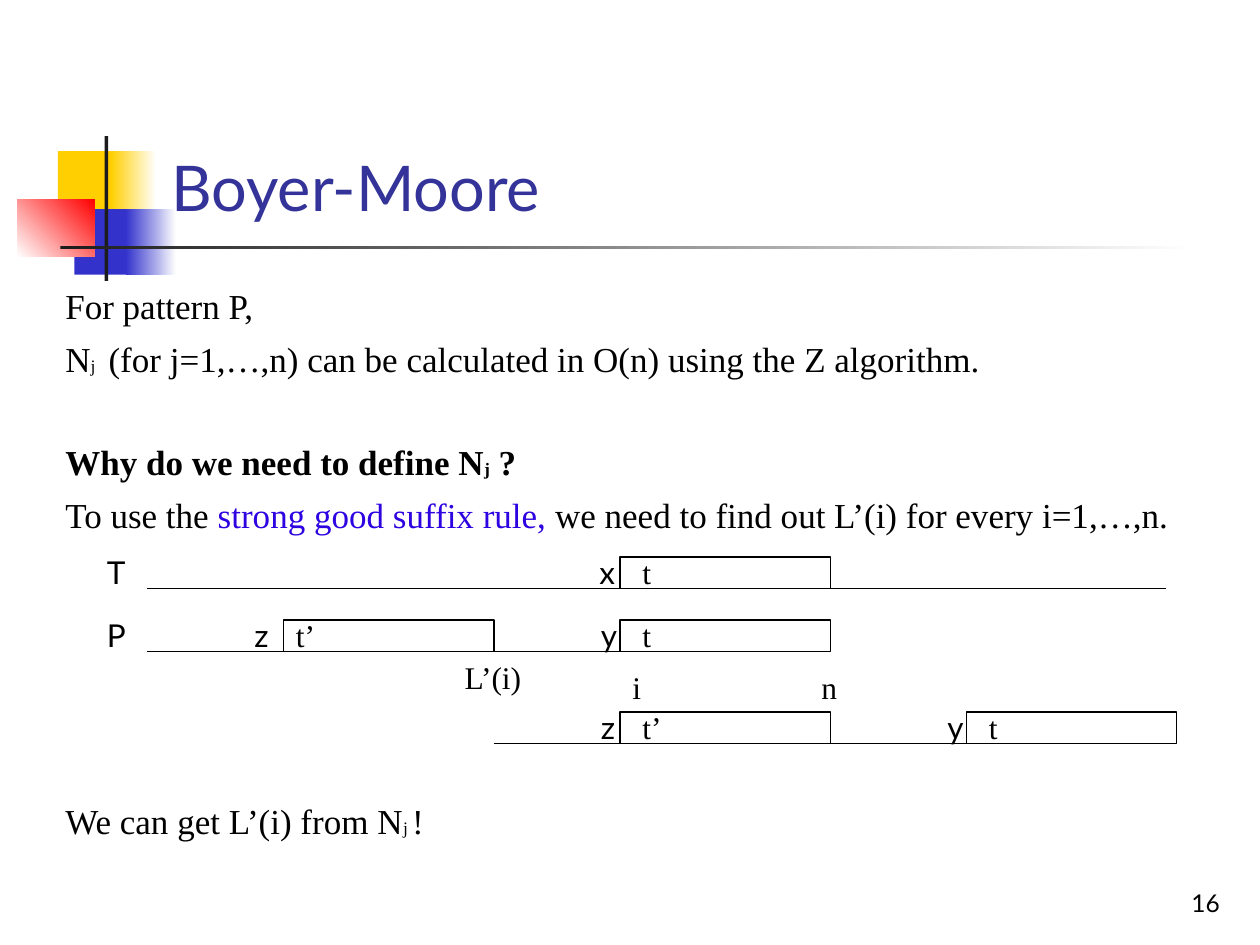
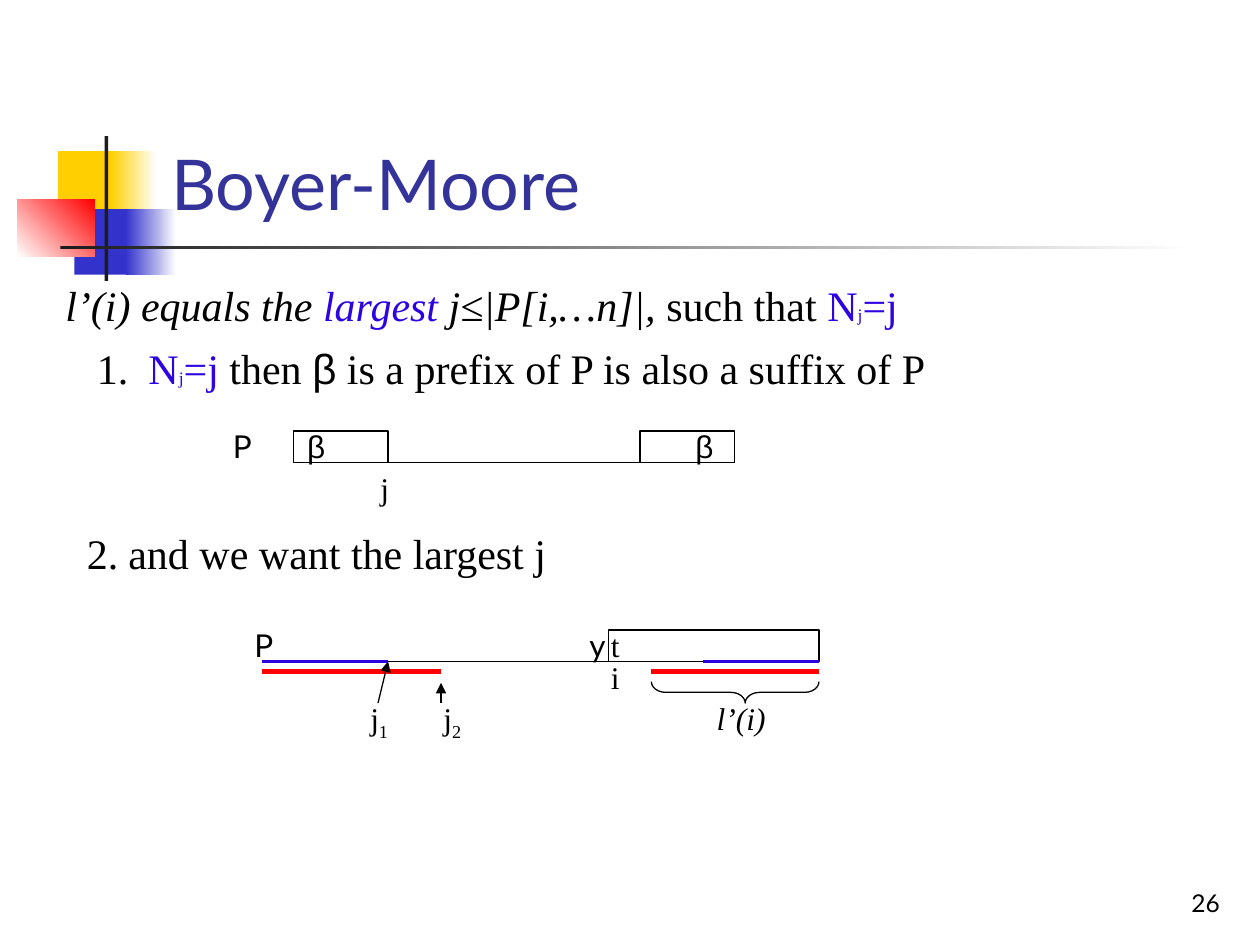
from dataclasses import dataclass

from lxml import etree
from pptx import Presentation
from pptx.dml.color import RGBColor
from pptx.enum.shapes import MSO_CONNECTOR as Link, MSO_SHAPE as Shape
from pptx.enum.text import MSO_ANCHOR as Anchor, MSO_AUTO_SIZE as AutoSize, PP_ALIGN as Align
from pptx.oxml.ns import qn
from pptx.util import Inches, Pt


@dataclass(frozen=True)
class Theme:
    black: str = "000000"
    white: str = "FFFFFF"
    title: str = "333399"
    accent: str = "2D03E1"
    yellow: str = "FFCF01"
    blue: str = "3333CC"
    red: str = "FF0000"
    ink: str = "1C1C1C"
    sans: str = "Lato"
    serif: str = "Times New Roman"
    greek: str = "Arial"
    label_size: int = 18
    number_size: int = 14
    subscript_size: int = 10
    thin: float = 0.75
    medium: float = 2.25
    thick: float = 3


THEME = Theme()
BLUE = {"color": THEME.accent}
BOLD = {"bold": True}
ITALIC = {"italic": True}
SMALL = {"size": THEME.subscript_size}
HANGING = 0.38

# left, top, width, height, colours (two make a gradient), gradient angle
ORNAMENTS = [
    (0.46, 1.2, 0.48, 0.52, [THEME.yellow], 0),
    (0.88, 1.2, 0.36, 0.52, [THEME.yellow, THEME.white], 0),
    (0.59, 1.66, 0.46, 0.52, [THEME.blue], 0),
    (1, 1.66, 0.4, 0.52, [THEME.blue, THEME.white], 0),
    (0.14, 1.58, 0.61, 0.46, [THEME.white, THEME.red], 45),
    (0.83, 1.08, 0.03, 1.15, [THEME.ink], 0),
    (0.48, 1.95, 9, 0.03, [THEME.ink, THEME.white], 0),
]


def rgb(color):
    return RGBColor.from_string(color)


def add_run(paragraph, text, name=THEME.serif, size=THEME.label_size,
            color=THEME.black, baseline=None, **style):
    run = paragraph.add_run()
    run.text = text
    for key, value in {"name": name, "size": Pt(size), **style}.items():
        setattr(run.font, key, value)
    run.font.color.rgb = rgb(color)
    if baseline:
        run.font._element.set("baseline", str(baseline))


def add_frame(slide, left, top, width, height, **settings):
    box = slide.shapes.add_textbox(*map(Inches, (left, top, width, height)))
    for key, value in {"word_wrap": True, **settings}.items():
        setattr(box.text_frame, key, value)
    return box.text_frame


def add_ornaments(slide):
    for left, top, width, height, colors, angle in ORNAMENTS:
        block = slide.shapes.add_shape(
            Shape.RECTANGLE, *map(Inches, (left, top, width, height)))
        block.shadow.inherit = False
        block.line.fill.background()
        if len(colors) == 1:
            block.fill.solid()
            block.fill.fore_color.rgb = rgb(colors[0])
            continue
        block.fill.gradient()
        block.fill.gradient_angle = angle
        for stop, color in zip(block.fill.gradient_stops, colors):
            stop.color.rgb = rgb(color)


def add_base(deck, title_size, number):
    """Add a slide with the ornaments, the title and the slide number."""
    slide = deck.slides.add_slide(deck.slide_layouts[6])
    add_ornaments(slide)
    footer = add_frame(slide, 7.7, 6.83, 2.08, 0.5, vertical_anchor=Anchor.BOTTOM)
    footer.paragraphs[0].alignment = Align.RIGHT
    add_run(footer.paragraphs[0], number, THEME.sans, THEME.number_size)
    title = add_frame(slide, 1.26, 0.23, 8.52, 1.6, vertical_anchor=Anchor.BOTTOM)
    add_run(title.paragraphs[0], "Boyer-Moore", THEME.sans, title_size, THEME.title)
    return slide


def set_indent(paragraph, start, hang, number=None):
    props = paragraph._p.get_or_add_pPr()
    props.set("marL", str(Inches(start + hang)))
    props.set("indent", str(Inches(-hang)))
    if number:
        color = etree.SubElement(props, qn("a:buClr"))
        etree.SubElement(color, qn("a:srgbClr"), val=THEME.black)
        etree.SubElement(props, qn("a:buFont"), typeface=THEME.serif)
        etree.SubElement(props, qn("a:buAutoNum"), type="arabicPeriod",
                         startAt=str(number))


def add_body(slide, top, height, size, lines):
    """Write lines of (rows down from the line before, indent, runs)."""
    frame = add_frame(slide, 0.42, top, 9.38, height)
    for index, (rows, indent, runs) in enumerate(lines):
        paragraph = frame.paragraphs[0] if index == 0 else frame.add_paragraph()
        if rows:
            paragraph.space_before = Pt(round(size * (1.45 * rows - 1.15), 1))
        set_indent(paragraph, *indent)
        for text, style in runs:
            add_run(paragraph, text, **{"size": size, **style})


def add_label(slide, left, top, text, font=THEME.serif, subscript="", **style):
    width = 0.19 + 0.11 * len(text + subscript)
    frame = add_frame(slide, left, top, width, 0.4, word_wrap=False,
                      auto_size=AutoSize.SHAPE_TO_FIT_TEXT)
    add_run(frame.paragraphs[0], text, font, **style)
    if subscript:
        add_run(frame.paragraphs[0], subscript, font, baseline=-25000)


def add_line(slide, start, end, color=THEME.black, width=THEME.thin, arrow=False):
    line = slide.shapes.add_connector(Link.STRAIGHT, *map(Inches, (*start, *end)))
    line.line.color.rgb = rgb(color)
    line.line.width = Pt(width)
    if arrow:
        etree.SubElement(line.line._get_or_add_ln(), qn("a:tailEnd"), type="triangle")
    etree.SubElement(line._element.spPr, qn("a:effectLst"))


def add_outline(slide, kind, left, top, width, height):
    shape = slide.shapes.add_shape(kind, *map(Inches, (left, top, width, height)))
    shape.shadow.inherit = False
    shape.fill.background()
    shape.line.color.rgb = rgb(THEME.black)
    shape.line.width = Pt(THEME.thin)
    return shape


def add_string(slide, baseline, start, end, blocks, block_width, labels):
    """Draw a string as a line with matched blocks and labels standing on it."""
    add_line(slide, (start, baseline), (end, baseline))
    for left in blocks:
        add_outline(slide, Shape.FLOWCHART_PROCESS, left, baseline - 0.25,
                    block_width, 0.25)
    for left, text, font in labels:
        add_label(slide, left, baseline - 0.33, text, font)


def add_suffix_rule_slide(deck):
    slide = add_base(deck, 36, "16")
    plain = (0, HANGING)
    add_body(slide, 2.21, 4.71, 20, [
        (0, plain, [("For pattern P,", {})]),
        (1, plain, [("N", {}), ("j ", SMALL),
                    (" (for j=1,…,n) can be calculated in O(n) using the Z algorithm.", {})]),
        (2, plain, [("Why do we need to define N", BOLD), ("j", {**BOLD, **SMALL}),
                    (" ?", BOLD)]),
        (1, plain, [("To use the", {}), (" strong good suffix rule, ", BLUE),
                    ("we need to find out L’(i) for every i=1,…,n.", {})]),
        (6, plain, [("We can get L’(i) from N", {}), ("j ", SMALL), ("!", {})]),
    ])
    sans, serif = THEME.sans, THEME.serif
    block_width = 1.67
    add_string(slide, 4.67, 1.17, 9.25, [4.92], block_width,
               [(0.75, "T", sans), (4.66, "x", sans), (5, "t", serif)])
    add_string(slide, 5.17, 1.17, 6.58, [2.25, 4.92], block_width,
               [(0.75, "P", sans), (1.92, "z", sans), (2.25, "t’", serif),
                (4.67, "y", sans), (5, "t", serif)])
    add_string(slide, 5.9, 3.92, 9.33, [4.92, 7.67], block_width,
               [(4.67, "z", sans), (5, "t’", serif), (7.42, "y", sans),
                (7.75, "t", serif)])
    for left, top, index in [(3.59, 5.17, "L’(i)"), (4.92, 5.25, "i"), (6.42, 5.25, "n")]:
        add_label(slide, left, top, index)


def add_largest_prefix_slide(deck):
    slide = add_base(deck, 40, "26")
    n_equals_j = [("N", BLUE), ("j", {**BLUE, **SMALL}), ("=j", BLUE)]
    add_body(slide, 2.17, 4.5, 24, [
        (0, (0, HANGING), [("l’(i) equals the ", ITALIC), ("largest", {**ITALIC, **BLUE}),
                           (" j≤|P[i,…n]|, ", ITALIC), ("such that ", {}), *n_equals_j]),
        (1, (0.25, 0.41, 1), [*n_equals_j, (" then ", {}), ("β", {"name": THEME.greek}),
                              (" is a prefix of P is also a suffix of P", {})]),
        (3, (0.17, 0.33, 2), [("and we want the largest j", {})]),
    ])
    sans, greek = THEME.sans, THEME.greek
    add_string(slide, 3.67, 2.33, 5.83, [2.33, 5.08], 0.75,
               [(1.75, "P", sans), (2.34, "β", greek), (5.42, "β", greek)])
    add_label(slide, 2.92, 3.67, "j")

    baseline, pattern_end = 5.25, 6.5
    add_string(slide, baseline, 2.17, pattern_end, [4.83], 1.67,
               [(1.92, "P", sans), (4.58, "y", sans), (4.75, "t", THEME.serif)])
    for y, color, width, prefix_end, suffix_start in [
            (baseline, THEME.accent, THEME.medium, 3.08, 5.58),
            (5.33, THEME.red, THEME.thick, 3.5, 5.17)]:
        add_line(slide, (2.08, y), (prefix_end, y), color, width)
        add_line(slide, (suffix_start, y), (pattern_end, y), color, width)

    add_label(slide, 4.75, 5.17, "i")
    add_label(slide, 5.59, 5.5, "l’(i)", italic=True)
    brace = add_outline(slide, Shape.LEFT_BRACE, 5.75, 4.83, 0.17, 1.33)
    brace.rotation = 270
    brace.adjustments[0], brace.adjustments[1] = 0.67, 0.56

    for left, subscript, start, end in [
            (2.84, "1", (3, 5.58), (3.08, baseline)),
            (3.42, "2", (3.5, 5.58), (3.5, 5.42))]:
        add_label(slide, left, 5.5, "j", subscript=subscript)
        add_line(slide, start, end, arrow=True)


def main():
    deck = Presentation()
    deck.slide_width, deck.slide_height = Inches(10), Inches(7.5)
    add_suffix_rule_slide(deck)
    add_largest_prefix_slide(deck)
    deck.save("out.pptx")


if __name__ == "__main__":
    main()
